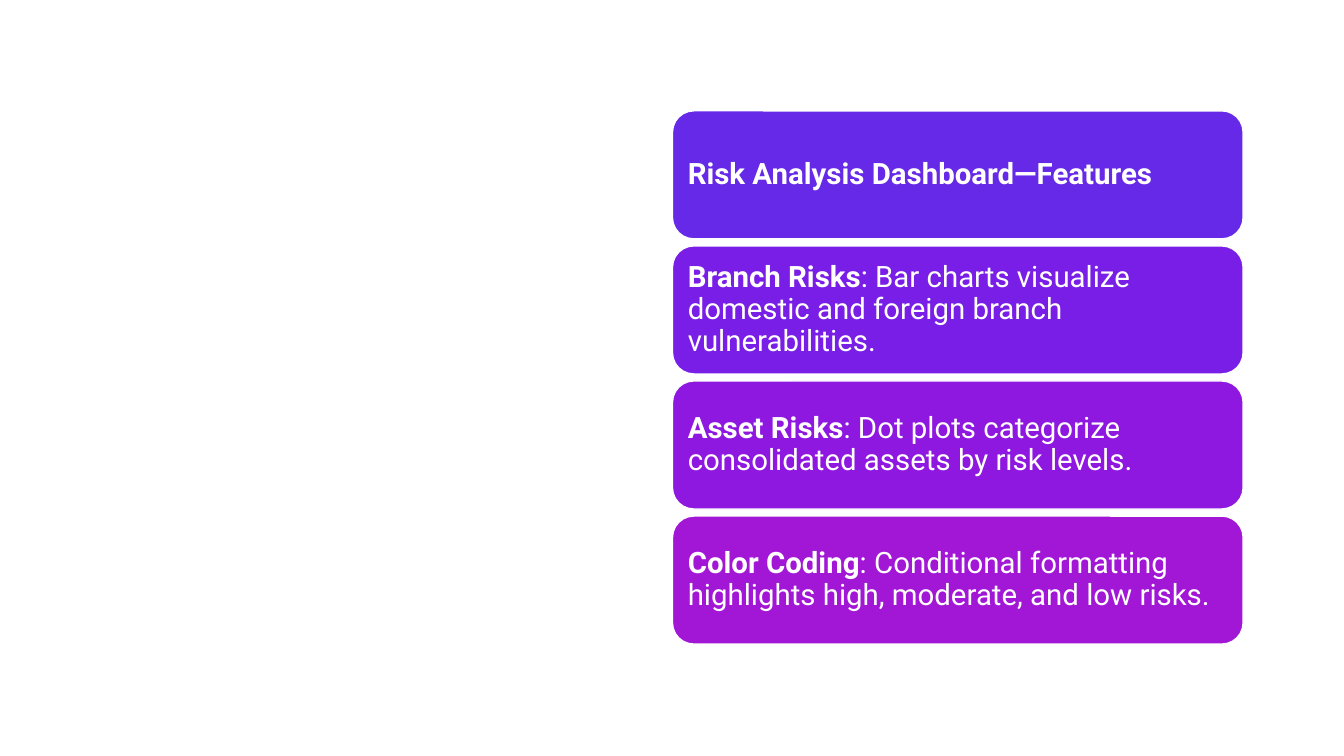
from pptx import Presentation
from pptx.dml.color import RGBColor
from pptx.enum.shapes import MSO_SHAPE
from pptx.enum.text import MSO_ANCHOR, PP_ALIGN
from pptx.util import Inches, Pt

ROUNDED = MSO_SHAPE.ROUNDED_RECTANGLE
MIDDLE = MSO_ANCHOR.MIDDLE
LEFT = PP_ALIGN.LEFT

WHITE = RGBColor(0xFF, 0xFF, 0xFF)
INDIGO = RGBColor(0x65, 0x29, 0xE7)
VIOLET = RGBColor(0x79, 0x1E, 0xE6)
PURPLE = RGBColor(0x8F, 0x18, 0xE0)
MAGENTA = RGBColor(0xA2, 0x17, 0xD5)

# Content: fill, bold lead, plain rest
FEATURES = [
    (INDIGO, "Risk Analysis Dashboard—Features", ""),
    (VIOLET, "Branch Risks",
     ": Bar charts visualize domestic and foreign branch vulnerabilities."),
    (PURPLE, "Asset Risks",
     ": Dot plots categorize consolidated assets by risk levels."),
    (MAGENTA, "Color Coding",
     ": Conditional formatting highlights high, moderate, and low risks."),
]

# Layout in inches: one column of equal rows in the right half
PAGE_WIDTH, PAGE_HEIGHT = 13.33, 7.5
COLUMN_LEFT, COLUMN_TOP = 6.67, 1.1
BOX_WIDTH, BOX_HEIGHT = 5.66, 1.27
ROW_STEP = 1.34

INSET = Inches(0.09)
FRAME_FORMAT = {
    "word_wrap": True, "vertical_anchor": MIDDLE,
    "margin_left": INSET, "margin_right": INSET,
    "margin_top": INSET, "margin_bottom": INSET,
}
PARA_FORMAT = {"alignment": LEFT, "line_spacing": 0.9, "space_after": Pt(7.35)}
FONT_FORMAT = {"name": "Roboto", "size": Pt(21)}


def apply_format(target, values):
    for name, value in values.items():
        setattr(target, name, value)


def add_feature(page, row, fill, lead, rest):
    box = page.shapes.add_shape(
        ROUNDED, Inches(COLUMN_LEFT), Inches(COLUMN_TOP + row * ROW_STEP),
        Inches(BOX_WIDTH), Inches(BOX_HEIGHT))
    box.shadow.inherit = False
    box.fill.solid()
    box.fill.fore_color.rgb = fill
    box.line.color.rgb = WHITE
    box.line.width = Pt(1)

    # Text: bold lead followed by the plain rest
    apply_format(box.text_frame, FRAME_FORMAT)
    para = box.text_frame.paragraphs[0]
    apply_format(para, PARA_FORMAT)
    for text, bold in ((lead, True), (rest, False)):
        if text:
            span = para.add_run()
            span.text = text
            apply_format(span.font, {**FONT_FORMAT, "bold": bold})
            span.font.color.rgb = WHITE


def main():
    deck = Presentation()
    deck.slide_width = Inches(PAGE_WIDTH)
    deck.slide_height = Inches(PAGE_HEIGHT)
    page = deck.slides.add_slide(deck.slide_layouts[6])
    for row, feature in enumerate(FEATURES):
        add_feature(page, row, *feature)
    deck.save("out.pptx")


if __name__ == "__main__":
    main()
